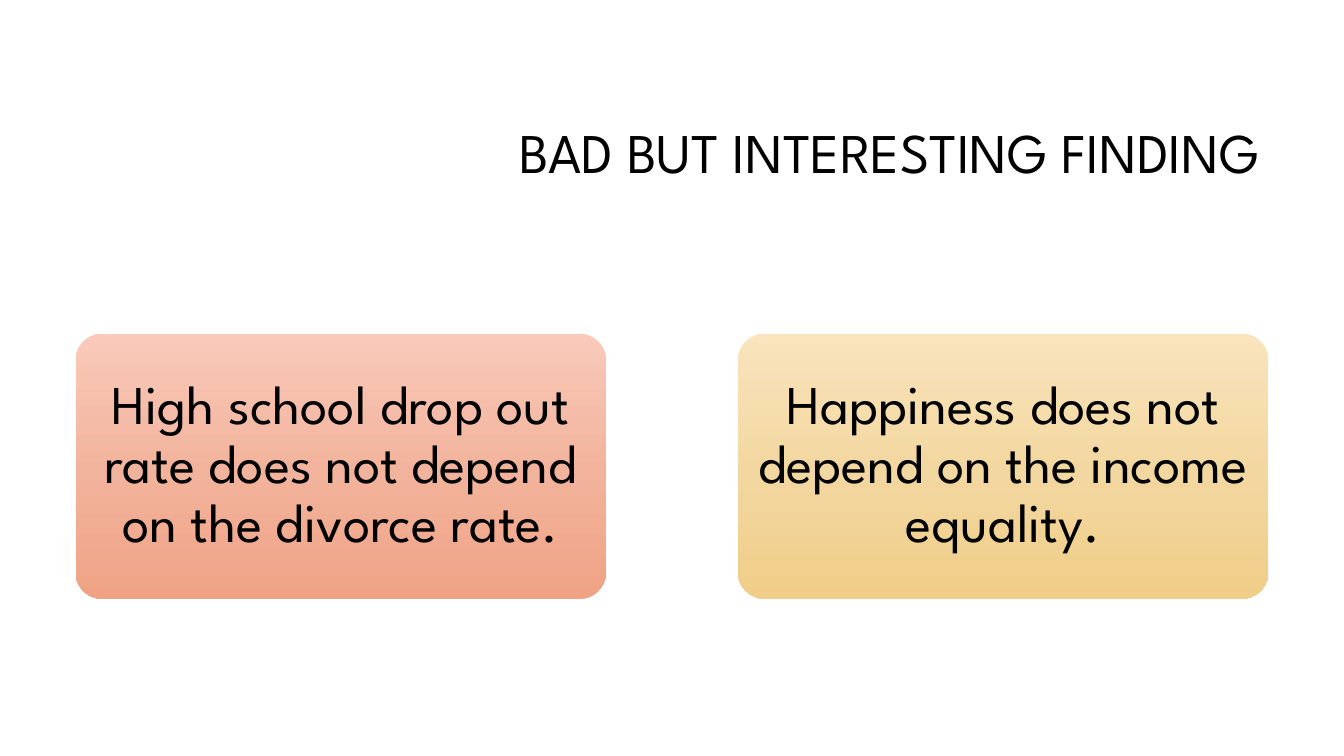
from copy import deepcopy
from dataclasses import dataclass

from pptx import Presentation
from pptx.dml.color import RGBColor
from pptx.enum.shapes import MSO_SHAPE
from pptx.enum.text import MSO_ANCHOR, PP_ALIGN
from pptx.oxml.ns import qn
from pptx.util import Inches, Pt


@dataclass(frozen=True)
class Theme:
    font: str = "League Spartan"
    ink: str = "000000"
    background: str = "FFFFFF"
    title_size: int = 40
    card_size: int = 39
    coral: tuple = ("F9CABA", "F2B39C", "F0A384")
    gold: tuple = ("F9E4BD", "F3D7A0", "F0CE89")
    stops: tuple = (0, 0.52, 1)


class SlideBuilder:
    def __init__(self, slide, theme):
        self.slide = slide
        self.theme = theme
        fill = slide.background.fill
        fill.solid()
        fill.fore_color.rgb = RGBColor.from_string(theme.background)

    def set_text(self, shape, text, size, alignment):
        frame = shape.text_frame
        frame.word_wrap = True
        frame.vertical_anchor = MSO_ANCHOR.MIDDLE
        paragraph = frame.paragraphs[0]
        paragraph.text = text
        paragraph.alignment = alignment
        paragraph.line_spacing = 0.9
        paragraph.font.name = self.theme.font
        paragraph.font.size = Pt(size)
        paragraph.font.color.rgb = RGBColor.from_string(self.theme.ink)

    def title(self, text, left, top, width, height):
        box = self.slide.shapes.add_textbox(
            Inches(left), Inches(top), Inches(width), Inches(height)
        )
        self.set_text(box, text, self.theme.title_size, PP_ALIGN.RIGHT)

    def gradient(self, shape, colors):
        fill = shape.fill
        fill.gradient()
        fill.gradient_angle = 270
        stop_list = next(shape.element.iter(qn("a:gsLst")))
        stop_list.insert(1, deepcopy(stop_list[0]))
        for stop, position, color in zip(fill.gradient_stops, self.theme.stops, colors):
            stop.position = position
            stop.color.rgb = RGBColor.from_string(color)

    def card(self, text, colors, left, top, width, height):
        shape = self.slide.shapes.add_shape(
            MSO_SHAPE.ROUNDED_RECTANGLE,
            Inches(left), Inches(top), Inches(width), Inches(height),
        )
        shape.adjustments[0] = 0.1
        shape.shadow.inherit = False
        shape.line.fill.background()
        self.gradient(shape, colors)
        frame = shape.text_frame
        frame.margin_left = frame.margin_right = Inches(0.08)
        frame.margin_top = frame.margin_bottom = Inches(0.05)
        self.set_text(shape, text, self.theme.card_size, PP_ALIGN.CENTER)


def main():
    presentation = Presentation()
    presentation.slide_width = Inches(13.33)
    presentation.slide_height = Inches(7.5)
    slide = presentation.slides.add_slide(presentation.slide_layouts[6])
    theme = Theme()
    builder = SlideBuilder(slide, theme)

    builder.title("BAD BUT INTERESTING FINDING", 3.17, 0.84, 9.42, 1.41)
    findings = (
        ("High school drop out rate does not depend on the divorce rate.", theme.coral),
        ("Happiness does not depend on the income equality.", theme.gold),
    )
    card_width, card_gap = 5.26, 1.31
    for index, (finding, colors) in enumerate(findings):
        left = 0.75 + index * (card_width + card_gap)
        builder.card(finding, colors, left, 3.31, card_width, card_width / 2)

    presentation.save("out.pptx")


if __name__ == "__main__":
    main()
